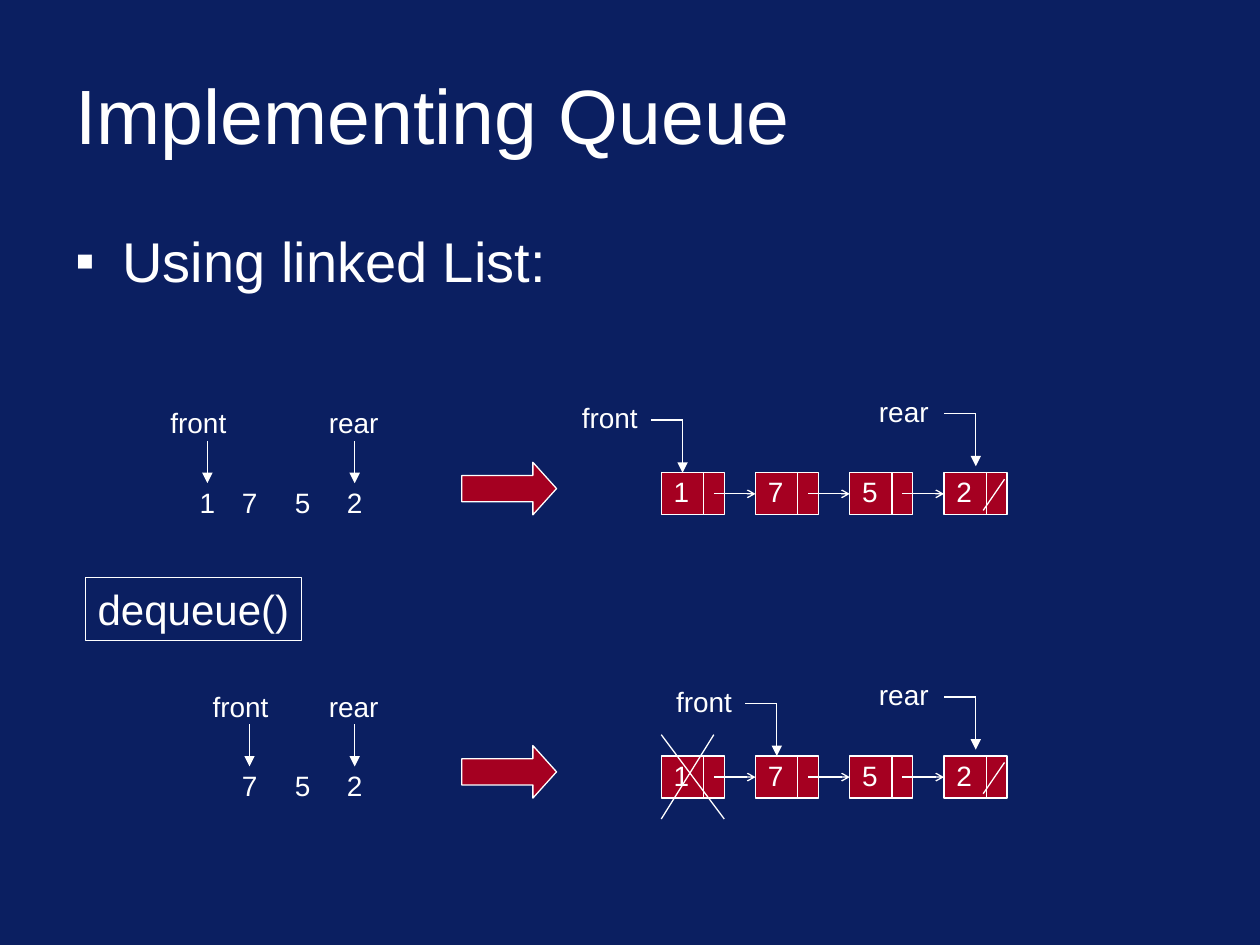
from dataclasses import dataclass

from lxml.etree import SubElement
from pptx import Presentation
from pptx.dml.color import RGBColor
from pptx.enum.shapes import MSO_CONNECTOR, MSO_SHAPE
from pptx.enum.text import MSO_ANCHOR as Anchor, MSO_AUTO_SIZE as AutoSize, PP_ALIGN as Align
from pptx.oxml.ns import qn
from pptx.util import Cm, Pt

COLORS = {"background": "0B1F61", "node": "A50021", "white": "FFFFFF"}
FONT = "Arial"
LINE_WIDTH = Pt(0.75)
HEAD_SIZES = {"arrow": "sm", "triangle": "med"}
NODE_LEFT, NODE_STEP, NODE_WIDTH, NODE_HEIGHT = 13.33, 1.9, 1.27, 0.85
FRONT_WIDTH, REAR_WIDTH = 1.63, 1.54
DIGIT_CENTERS = {"1": 4.18, "7": 5.03, "5": 6.10, "2": 7.15}
VALUES = list(DIGIT_CENTERS)


@dataclass(frozen=True)
class QueueState:
    """One row of the slide: its height and how many items have left the queue."""

    top: float
    removed: int


STATES = [QueueState(9.53, 0), QueueState(15.24, 1)]


def color(name: str) -> RGBColor:
    """Look up a named colour."""
    return RGBColor.from_string(COLORS[name])


def write(shape, text: str, size: int, align=Align.CENTER, wrap: bool = False):
    """Put one white run into a shape and return its paragraph."""
    frame = shape.text_frame
    frame.word_wrap = wrap
    frame.auto_size = AutoSize.NONE if wrap else AutoSize.SHAPE_TO_FIT_TEXT
    frame.vertical_anchor = Anchor.TOP
    paragraph = frame.paragraphs[0]
    paragraph.alignment = align
    run = paragraph.add_run()
    run.text = text
    run.font.name, run.font.size = FONT, Pt(size)
    run.font.color.rgb = color("white")
    return paragraph


def add_text(slide, text: str, left: float, top: float, width: float,
             height: float = 0.94, size: int = 16, **options):
    """Add a text box and return it with its paragraph."""
    box = slide.shapes.add_textbox(Cm(left), Cm(top), Cm(width), Cm(height))
    return box, write(box, text, size, **options)


def add_centered(slide, text: str, center: float, top: float, width: float) -> None:
    """Add a label centred on a horizontal position."""
    add_text(slide, text, center - width / 2, top, width)


def add_box(slide, kind, left: float, top: float, width: float, height: float,
            filled: bool = True):
    """Add a preset shape with a thin white outline."""
    shape = slide.shapes.add_shape(kind, Cm(left), Cm(top), Cm(width), Cm(height))
    shape.shadow.inherit = False
    if filled:
        shape.fill.solid()
        shape.fill.fore_color.rgb = color("node")
    else:
        shape.fill.background()
    shape.line.color.rgb = color("white")
    shape.line.width = LINE_WIDTH
    return shape


def add_line(slide, x1: float, y1: float, x2: float, y2: float, head: str = "") -> None:
    """Add a thin white line, with an arrowhead at its end if one is named."""
    line = slide.shapes.add_connector(
        MSO_CONNECTOR.STRAIGHT, Cm(x1), Cm(y1), Cm(x2), Cm(y2))
    line.line.color.rgb = color("white")
    line.line.width = LINE_WIDTH
    properties = line._element.spPr
    if head:
        size = HEAD_SIZES[head]
        SubElement(properties.find(qn("a:ln")), qn("a:tailEnd"), type=head, w=size, len=size)
    SubElement(properties, qn("a:effectLst"))


def add_elbow(slide, x1: float, y1: float, x2: float, y2: float) -> None:
    """Add a pointer that runs right and then down."""
    add_line(slide, x1, y1, x2, y1)
    add_line(slide, x2, y1, x2, y2, "triangle")


def add_node(slide, value: str, left: float, top: float, last: bool) -> None:
    """Add a list node with its value and its next pointer."""
    add_box(slide, MSO_SHAPE.RECTANGLE, left, top, NODE_WIDTH, NODE_HEIGHT)
    add_line(slide, left + 0.85, top, left + 0.85, top + NODE_HEIGHT)
    add_text(slide, value, left, top - 0.08, 0.8, align=Align.LEFT, wrap=True)
    if last:
        add_line(slide, left + 1.22, top + 0.13, left + 0.79, top + 0.76)
    else:
        middle = top + NODE_HEIGHT / 2
        add_line(slide, left + 1.06, middle, left + NODE_STEP, middle, "arrow")


def add_queue(slide, state: QueueState) -> None:
    """Add the abstract queue on the left side of a row."""
    items = VALUES[state.removed:]
    for value in items:
        add_centered(slide, value, DIGIT_CENTERS[value], state.top + 0.13, 0.81)
    front, rear = DIGIT_CENTERS[items[0]], DIGIT_CENTERS[items[-1]]
    add_centered(slide, "front", front - 0.18, state.top - 1.47, FRONT_WIDTH)
    add_centered(slide, "rear", rear - 0.02, state.top - 1.47, REAR_WIDTH)
    for center in (front, rear):
        add_line(slide, center, state.top - 0.64, center, state.top + 0.21, "triangle")


def add_linked_list(slide, state: QueueState) -> None:
    """Add the linked list on the right side of a row."""
    top = state.top
    lefts = [NODE_LEFT + NODE_STEP * index for index in range(len(VALUES))]
    for value, left in zip(VALUES, lefts):
        add_node(slide, value, left, top, left == lefts[-1])
    front, rear = lefts[state.removed], lefts[-1]
    add_text(slide, "front", front - 1.85, top - 1.57, FRONT_WIDTH)
    add_elbow(slide, front - 0.21, top - 1.06, front + 0.43, top)
    add_text(slide, "rear", rear - 1.58, top - 1.7, REAR_WIDTH)
    add_elbow(slide, rear, top - 1.19, rear + 0.64, top - 0.13)
    for left in lefts[:state.removed]:
        add_line(slide, left + 1.06, top - 0.43, left, top + 1.27)
        add_line(slide, left, top - 0.43, left + NODE_WIDTH, top + 1.27)


def add_headings(slide) -> None:
    """Add the title and the bullet line."""
    title, _ = add_text(slide, "Implementing Queue", 1.27, 1.02, 22.86, 2.54, 44,
                        align=Align.LEFT, wrap=True)
    title.text_frame.vertical_anchor = Anchor.MIDDLE
    _, paragraph = add_text(slide, "Using linked List:", 1.27, 4.45, 22.86, 2.11, 32,
                            align=Align.LEFT, wrap=True)
    properties = paragraph._p.get_or_add_pPr()
    properties.set("marL", str(Cm(0.95)))
    properties.set("indent", str(-Cm(0.95)))
    bullet_color = SubElement(properties, qn("a:buClr"))
    SubElement(bullet_color, qn("a:srgbClr"), val=COLORS["white"])
    SubElement(properties, qn("a:buFont"), typeface=FONT)
    SubElement(properties, qn("a:buChar"), char="▪")


def main() -> None:
    """Build and save the slide."""
    presentation = Presentation()
    presentation.slide_width, presentation.slide_height = Cm(25.4), Cm(19.05)
    slide = presentation.slides.add_slide(presentation.slide_layouts[6])
    slide.background.fill.solid()
    slide.background.fill.fore_color.rgb = color("background")
    add_headings(slide)
    for state in STATES:
        add_queue(slide, state)
        arrow = add_box(slide, MSO_SHAPE.RIGHT_ARROW, 9.31, state.top - 0.21, 1.91, 1.06)
        arrow.adjustments[1] = 0.45
        add_linked_list(slide, state)
    operation = add_box(slide, MSO_SHAPE.RECTANGLE, 1.72, 11.64, 4.36, 1.27, filled=False)
    write(operation, "dequeue()", 24)
    presentation.save("out.pptx")


if __name__ == "__main__":
    main()
